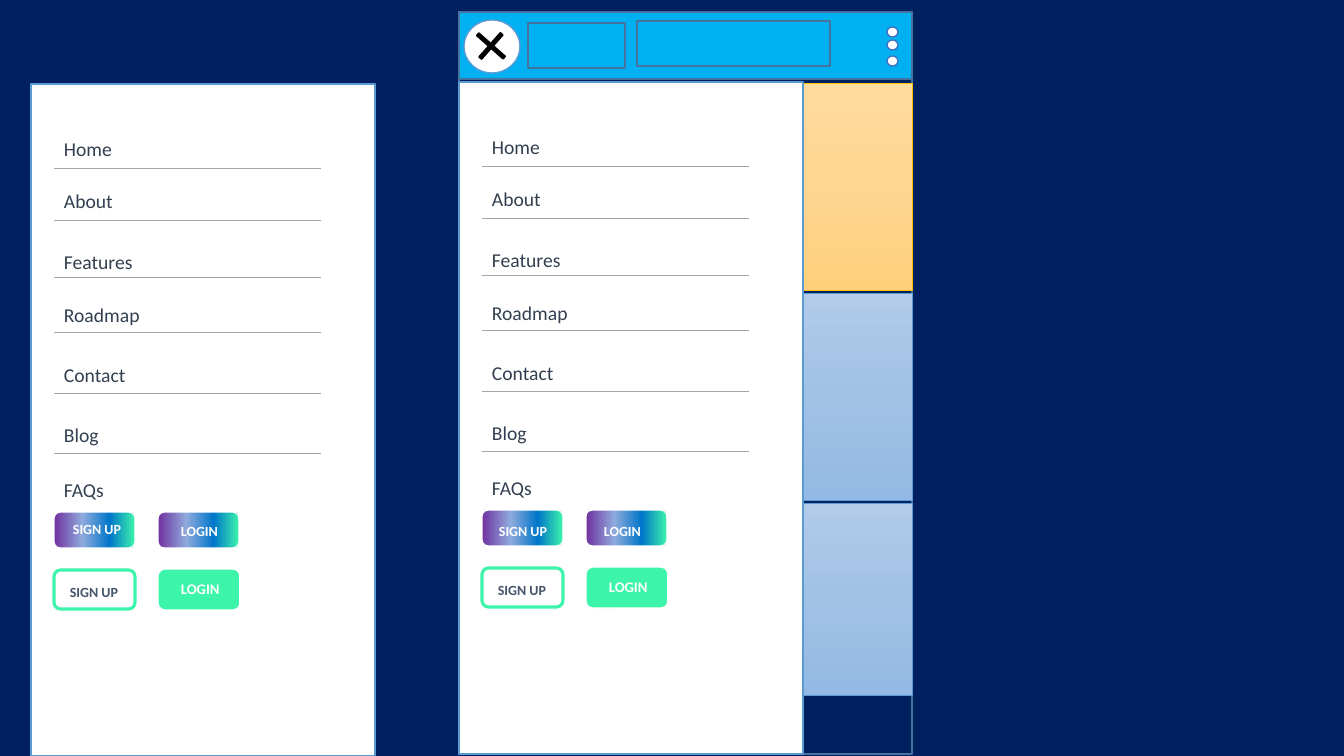
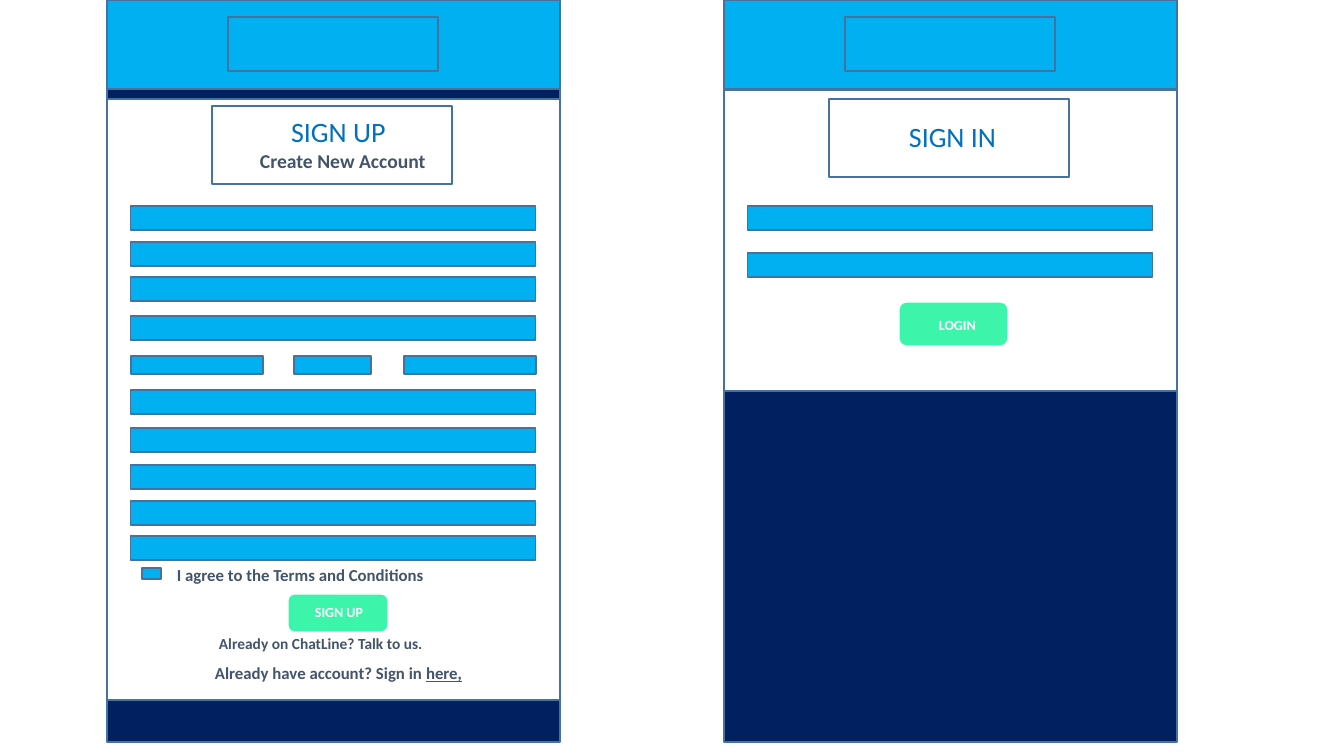
from lxml.etree import SubElement
from pptx import Presentation
from pptx.dml.color import RGBColor
from pptx.enum.shapes import MSO_CONNECTOR, MSO_SHAPE as Form
from pptx.enum.text import MSO_ANCHOR as Anchor, MSO_AUTO_SIZE as Size, PP_ALIGN as Align
from pptx.oxml.ns import qn
from pptx.util import Pt

# Shared scale, colours and gradients
SCALE = 914400 / 100.8
WIDE, HIGH = 1344, 756
NAVY, SKY, WHITE, BLACK = "002060", "00B0F0", "FFFFFF", "000000"
EDGE, BLUE, MINT, RULE = "43739E", "5B9BD5", "3CF4AA", "A5A5A5"
INK, SLATE, HEAD = "323F50", "44546A", "0070C0"
GOLD = [(0, "FFDB9E"), (50, "FFD590"), (100, "FFD07C")]
ICE = [(0, "B1CBE9"), (50, "A3C1E5"), (100, "93B9E4")]
RAINBOW = [(0, "7030A0"), (35, "8FAADC"), (69, "0076CA"), (100, MINT)]
PHONE_W, PHONE_H = 453, 742


def px(n):
    return round(n * SCALE)


def box_of(*lengths):
    return [px(n) for n in lengths]


def color(code):
    return RGBColor.from_string(code)


def blend(shape, stops, angle):
    shape.fill.gradient()
    shape.fill.gradient_angle = angle
    stop_list = shape.element.find(".//" + qn("a:gsLst"))
    for old in list(stop_list):
        stop_list.remove(old)
    for place, code in stops:
        stop = SubElement(stop_list, qn("a:gs"), pos=str(place * 1000))
        SubElement(stop, qn("a:srgbClr"), val=code)


def block(slide, box, fill, edge=EDGE, weight=1, form=Form.RECTANGLE, angle=270):
    shape = slide.shapes.add_shape(form, *box_of(*box))
    shape.shadow.inherit = False
    if isinstance(fill, list):
        blend(shape, fill, angle)
    else:
        shape.fill.solid()
        shape.fill.fore_color.rgb = color(fill)
    shape.line.color.rgb = color(edge)
    shape.line.width = Pt(weight)
    return shape


def write(shape, words, size, code, bold=False):
    frame = shape.text_frame
    frame.word_wrap = True
    frame.auto_size = Size.SHAPE_TO_FIT_TEXT
    frame.vertical_anchor = Anchor.TOP
    para = frame.paragraphs[0]
    para.alignment = Align.LEFT
    para.font.name = "Calibri"
    para.font.size = Pt(size)
    para.font.bold = bold
    para.font.color.rgb = color(code)
    para.add_run().text = words
    return para


def label(slide, box, words, size, code, bold=False):
    return write(slide.shapes.add_textbox(*box_of(*box)), words, size, code, bold)


def rule(slide, x, y, width):
    line = slide.shapes.add_connector(
        MSO_CONNECTOR.STRAIGHT, *box_of(x, y, x + width, y))
    line.line.color.rgb = color(RULE)
    line.line.width = Pt(0.5)
    SubElement(line.element.spPr, qn("a:effectLst"))


def button(slide, box, fill, edge=WHITE, weight=1):
    block(slide, box, fill, edge, weight, Form.ROUNDED_RECTANGLE, 0)


# Slide 1: menu drawer and the phone behind it
def drawer(slide, x, y, sign, login):
    block(slide, (x, y, 344, 672), WHITE, BLUE)
    for top in (84, 136, 193, 248, 309, 369):
        rule(slide, x + 23, y + top, 267)
    items = [("Home", 48, 81), ("About", 100, 81), ("Features", 161, 92),
             ("Roadmap", 214, 112), ("Contact", 274, 92), ("Blog", 334, 81),
             ("FAQs", 389, 81)]
    for words, top, width in items:
        label(slide, (x + 23, y + top, width, 34), words, 14, INK)
    for left in (23, 127):
        button(slide, (x + left, y + 428, 81, 36), RAINBOW)
    button(slide, (x + 23, y + 486, 81, 39), WHITE, MINT, 2.25)
    button(slide, (x + 127, y + 485, 82, 41), MINT)
    captions = [("SIGN UP", sign, 74, 10, WHITE), ("LOGIN", login, 74, 10, WHITE),
                ("SIGN UP", (29, 495), 77, 10, SLATE),
                ("LOGIN", (140, 491), 64, 10.5, WHITE)]
    for words, (left, top), width, size, code in captions:
        label(slide, (x + left, y + top, width, 27), words, size, code, True)


def home(slide, x, y):
    block(slide, (x, y, PHONE_W, PHONE_H), NAVY)
    block(slide, (x, y, PHONE_W, 67), SKY)
    for top in (15, 28, 44):
        block(slide, (x + 428, y + top, 11, 10), WHITE, "4472C4",
              form=Form.FLOWCHART_CONNECTOR)
    block(slide, (x + 69, y + 11, 97, 45), SKY)
    block(slide, (x + 178, y + 9, 193, 45), SKY)
    cards = [(71, 207, GOLD, "FFC000"), (281, 207, ICE, BLUE), (491, 192, ICE, BLUE)]
    for top, height, fill, edge in cards:
        block(slide, (x, y + top, PHONE_W, height), fill, edge, 0.5)
    drawer(slide, x, y + 70, (30, 436), (135, 436))
    # Close button
    block(slide, (x + 5, y + 8, 56, 53), WHITE, BLUE, form=Form.FLOWCHART_CONNECTOR)
    cross = block(slide, (x + 8, y + 12, 48, 44), BLACK, BLACK, form=Form.MATH_PLUS)
    cross.adjustments[0] = 0.08
    cross.rotation = 41.4


# Slide 2: account forms
def form(slide, x, top, height, head):
    block(slide, (x, 0, PHONE_W, PHONE_H), NAVY)
    block(slide, (x, top, PHONE_W, height), WHITE)
    block(slide, (x, 0, PHONE_W, 89), SKY)
    block(slide, (x + 121, 17, 210, 54), SKY)
    block(slide, (x + 105, head, 240, 78), WHITE)


def fields(slide, x, tops):
    for top in tops:
        block(slide, (x + 23.5, top, 405, 24), SKY)


def sign_up(slide, x):
    form(slide, x, 99, 601, 106)
    title = slide.shapes.title
    title.left, title.top, title.width, title.height = box_of(x + 174, 109, 131, 44)
    write(title, "SIGN UP", 20, HEAD)
    title.element.getparent().append(title.element)  # bring to front
    label(slide, (x + 143, 144, 214, 34), "Create New Account", 14, SLATE, True)
    fields(slide, x, (206, 242, 277, 316, 390, 428, 465, 501, 536))
    for left, width in ((24, 132), (297, 132), (187, 77)):
        block(slide, (x + left, 356, width, 18), SKY)
    # Consent, button and links
    block(slide, (x + 35, 568, 19, 11), SKY)
    button(slide, (x + 181, 594, 100, 38), MINT)
    label(slide, (x + 198, 599, 83, 27), "SIGN UP", 10, WHITE, True)
    notes = [(60, 560, 12, "I agree to the Terms and Conditions"),
             (102, 629, 11, "Already on ChatLine? Talk to us."),
             (98, 658, 12, "Already have account? Sign in ")]
    for left, top, size, words in notes:
        para = label(slide, (x + left, top, 296, 30), words, size, SLATE, True)
    link = para.add_run()
    link.text = "here,"
    link.font.underline = True


def sign_in(slide, x):
    form(slide, x, 90, 301, 99)
    label(slide, (x + 175, 115, 131, 44), "SIGN IN", 20, HEAD)
    fields(slide, x, (206, 253))
    button(slide, (x + 175, 302, 109, 44), MINT)
    label(slide, (x + 205, 312, 80, 27), "LOGIN", 10, WHITE, True)


deck = Presentation()
deck.slide_width, deck.slide_height = box_of(WIDE, HIGH)

menu = deck.slides.add_slide(deck.slide_layouts[6])
menu.background.fill.solid()
menu.background.fill.fore_color.rgb = color(NAVY)
home(menu, 459, 12)
drawer(menu, 31, 84, (32, 432), (140, 434))

account = deck.slides.add_slide(deck.slide_layouts[5])
sign_up(account, 107)
sign_in(account, 724)

deck.save("out.pptx")
